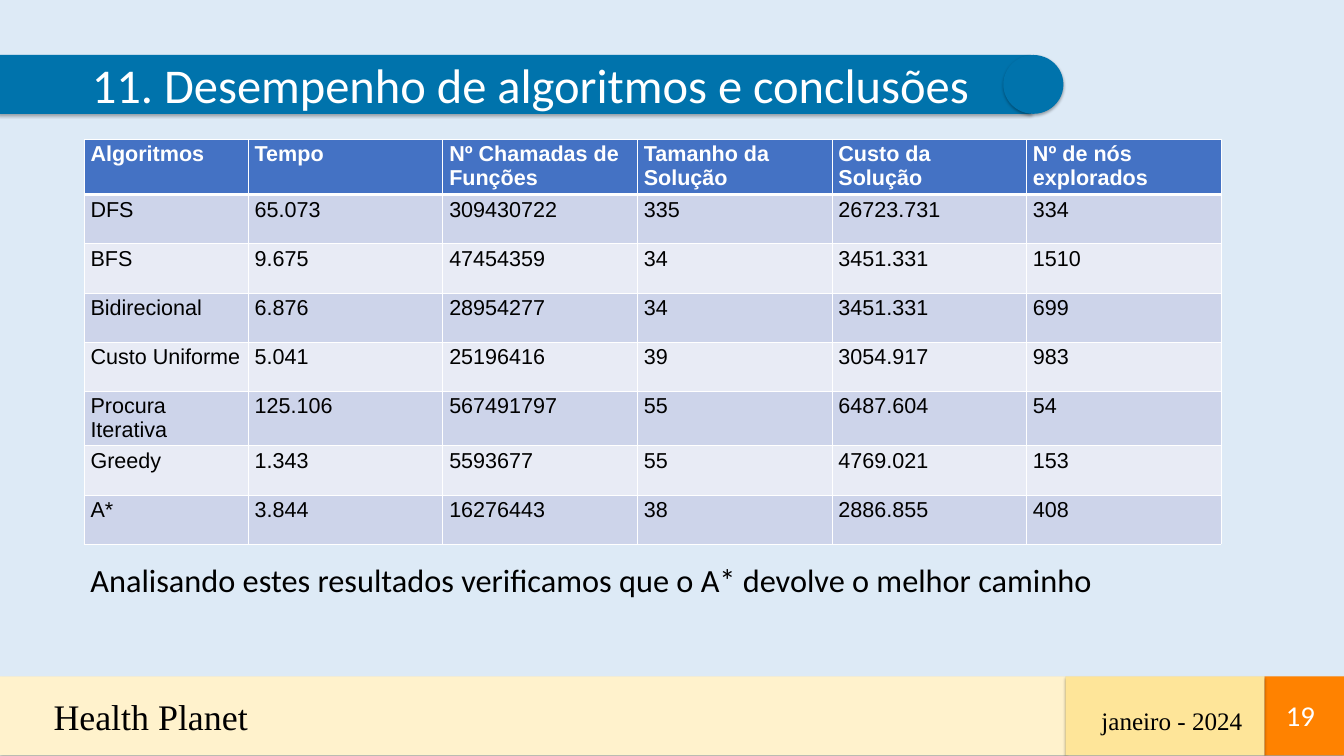
from dataclasses import dataclass

from lxml import etree
from pptx import Presentation
from pptx.dml.color import RGBColor
from pptx.enum.shapes import MSO_SHAPE
from pptx.enum.text import MSO_ANCHOR, MSO_AUTO_SIZE, PP_ALIGN
from pptx.oxml.ns import qn
from pptx.util import Emu, Pt

RECTANGLE, OVAL = MSO_SHAPE.RECTANGLE, MSO_SHAPE.OVAL
TOP, MIDDLE = MSO_ANCHOR.TOP, MSO_ANCHOR.MIDDLE
LEFT, CENTER, RIGHT = PP_ALIGN.LEFT, PP_ALIGN.CENTER, PP_ALIGN.RIGHT
NO_FIT = MSO_AUTO_SIZE.NONE
TITLE_ONLY = 5
EMU_PER_PX = 9144  # 100 px to the inch


@dataclass(frozen=True)
class Theme:
    background: str = "DDEAF6"
    banner: str = "0073AC"
    footer: str = "FFF2CC"
    footer_date: str = "FEE599"
    footer_number: str = "FF8200"
    header: str = "4472C4"
    odd_row: str = "CDD4EA"
    even_row: str = "E8EBF5"
    light: str = "FFFFFF"
    dark: str = "000000"
    body_font: str = "Calibri"
    table_font: str = "Arial"
    footer_font: str = "Times New Roman"
    title_size: int = 54
    project_size: int = 40
    conclusion_size: int = 36
    number_size: int = 32
    date_size: int = 28
    table_size: int = 24


@dataclass(frozen=True)
class Block:
    kind: int
    area: tuple[int, int, int, int]
    color: str


@dataclass(frozen=True)
class Label:
    text: str
    area: tuple[int, int, int, int]
    size: int
    font: str
    color: str = Theme.dark
    align: int = LEFT
    anchor: int = TOP


THEME = Theme()

FOOTER_BLOCKS = [
    Block(RECTANGLE, (0, 1046, 1648, 122), THEME.footer),
    Block(RECTANGLE, (1956, 1046, 123, 122), THEME.footer_number),
    Block(RECTANGLE, (1648, 1046, 308, 122), THEME.footer_date),
]
BANNER_AREA = (-3, 85, 1598, 91)
BANNER_END = Block(OVAL, (1552, 85, 93, 91), THEME.banner)
TITLE_INDENT = 50

LABELS = [
    Label("Health Planet", (73, 1069, 1233, 77), THEME.project_size, THEME.footer_font),
    Label("janeiro - 2024", (1694, 1086, 245, 57), THEME.date_size, THEME.footer_font),
    Label("19", (1973, 1084, 71, 42), THEME.number_size, THEME.body_font,
          THEME.light, RIGHT, MIDDLE),
    Label("Analisando estes resultados verificamos que o A* devolve o melhor caminho",
          (130, 862, 1761, 71), THEME.conclusion_size, THEME.body_font),
]

TABLE_LEFT, TABLE_TOP = 130, 215
COLUMN_WIDTHS = [254] + [301] * 5
HEADER_HEIGHT, ROW_HEIGHT = 86, 76
THIN, THICK = 1, 3  # border widths in points
RESULTS = [
    ("Algoritmos", "Tempo", "Nº Chamadas de Funções", "Tamanho da Solução",
     "Custo da Solução", "Nº de nós explorados"),
    ("DFS", "65.073", "309430722", "335", "26723.731", "334"),
    ("BFS", "9.675", "47454359", "34", "3451.331", "1510"),
    ("Bidirecional", "6.876", "28954277", "34", "3451.331", "699"),
    ("Custo Uniforme", "5.041", "25196416", "39", "3054.917", "983"),
    ("Procura Iterativa", "125.106", "567491797", "55", "6487.604", "54"),
    ("Greedy", "1.343", "5593677", "55", "4769.021", "153"),
    ("A*", "3.844", "16276443", "38", "2886.855", "408"),
]


def px(length: int) -> Emu:
    return Emu(length * EMU_PER_PX)


def scaled(area: tuple[int, int, int, int]) -> list[Emu]:
    return [px(length) for length in area]


def write(frame, text: str, *, size: int, font: str, color: str,
          bold: bool = False, align: int = LEFT) -> None:
    para = frame.paragraphs[0]
    para.alignment = align
    span = para.add_run()
    span.text = text
    span.font.size = Pt(size)
    span.font.name = font
    span.font.bold = bold
    span.font.color.rgb = RGBColor.from_string(color)


def paint(shape, color: str) -> None:
    """Fill a shape and give it the soft shadow shared by all blocks."""
    shape.fill.solid()
    shape.fill.fore_color.rgb = RGBColor.from_string(color)
    shape.line.fill.background()
    shape.shadow.inherit = False
    effects = shape.element.spPr.find(qn("a:effectLst"))
    shadow = etree.SubElement(effects, qn("a:outerShdw"), blurRad=str(Pt(3.5)),
                              dist=str(Pt(2.2)), dir="5400000", rotWithShape="0")
    tint = etree.SubElement(shadow, qn("a:srgbClr"), val=THEME.dark)
    etree.SubElement(tint, qn("a:alpha"), val="32000")


def add_block(page, block: Block) -> None:
    paint(page.shapes.add_shape(block.kind, *scaled(block.area)), block.color)


def add_label(page, label: Label) -> None:
    frame = page.shapes.add_textbox(*scaled(label.area)).text_frame
    frame.word_wrap = True
    frame.vertical_anchor = label.anchor
    write(frame, label.text, size=label.size, font=label.font,
          color=label.color, align=label.align)


def fill_title(page, text: str) -> None:
    title = page.shapes.title
    title.left, title.top, title.width, title.height = scaled(BANNER_AREA)
    paint(title, THEME.banner)
    frame = title.text_frame
    frame.auto_size = NO_FIT
    frame.word_wrap = True
    frame.vertical_anchor = TOP
    frame.margin_left = px(TITLE_INDENT)
    frame.margin_top = frame.margin_right = frame.margin_bottom = 0
    write(frame, text, size=THEME.title_size, font=THEME.body_font,
          color=THEME.light, align=CENTER)


def add_borders(cell, top: int, bottom: int) -> None:
    properties = cell._tc.get_or_add_tcPr()
    for side, width in (("L", THIN), ("R", THIN), ("T", top), ("B", bottom)):
        line = etree.SubElement(properties, qn(f"a:ln{side}"), w=str(Pt(width)))
        fill = etree.SubElement(line, qn("a:solidFill"))
        etree.SubElement(fill, qn("a:srgbClr"), val=THEME.light)


def add_results(page) -> None:
    heights = [HEADER_HEIGHT] + [ROW_HEIGHT] * (len(RESULTS) - 1)
    area = (TABLE_LEFT, TABLE_TOP, sum(COLUMN_WIDTHS), sum(heights))
    table = page.shapes.add_table(len(RESULTS), len(COLUMN_WIDTHS), *scaled(area)).table
    for column, width in zip(table.columns, COLUMN_WIDTHS):
        column.width = px(width)
    for index, (row, height, values) in enumerate(zip(table.rows, heights, RESULTS)):
        row.height = px(height)
        is_header = index == 0
        band = THEME.odd_row if index % 2 else THEME.even_row
        for cell, value in zip(row.cells, values):
            add_borders(cell, top=THICK if index == 1 else THIN,
                        bottom=THICK if is_header else THIN)
            cell.fill.solid()
            cell.fill.fore_color.rgb = RGBColor.from_string(
                THEME.header if is_header else band)
            write(cell.text_frame, value, size=THEME.table_size, font=THEME.table_font,
                  color=THEME.light if is_header else THEME.dark, bold=is_header)


def main() -> None:
    deck = Presentation()
    deck.slide_width, deck.slide_height = px(2079), px(1169)
    page = deck.slides.add_slide(deck.slide_layouts[TITLE_ONLY])
    page.background.fill.solid()
    page.background.fill.fore_color.rgb = RGBColor.from_string(THEME.background)

    # Title banner with its rounded end
    fill_title(page, "11. Desempenho de algoritmos e conclusões")
    add_block(page, BANNER_END)

    # Footer bands
    for block in FOOTER_BLOCKS:
        add_block(page, block)

    # Results table, then footer texts and conclusion
    add_results(page)
    for label in LABELS:
        add_label(page, label)

    deck.save("out.pptx")


if __name__ == "__main__":
    main()
